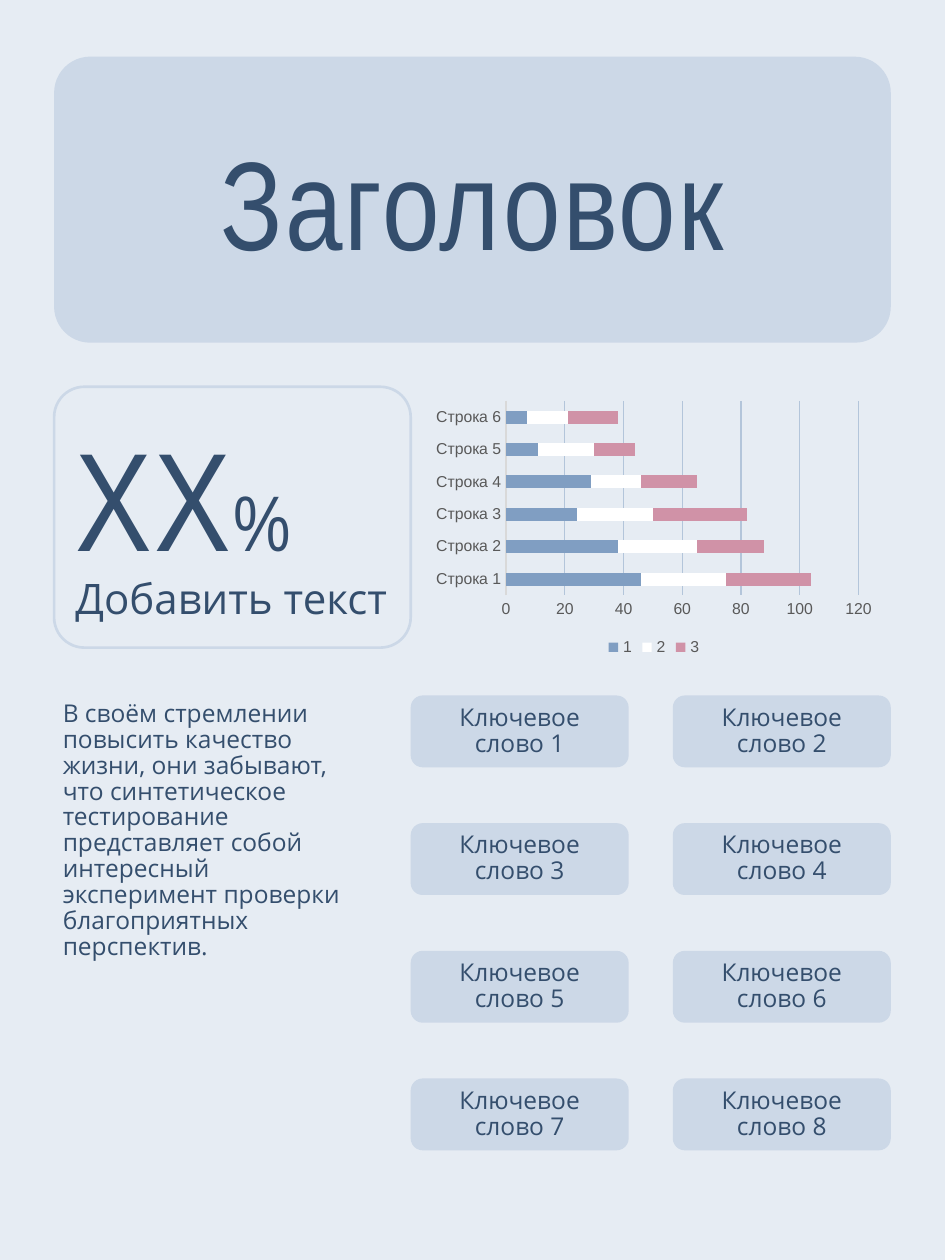
"""Build a portrait one-page summary with a headline, a key figure, a chart and keywords."""
import pptx
import pptx.chart.data
import pptx.dml.color
import pptx.enum.chart
import pptx.enum.shapes
import pptx.enum.text
import pptx.util
from pptx.util import Inches, Pt

THEME = {
    "background": pptx.dml.color.RGBColor.from_string("E6ECF3"),
    "panel": pptx.dml.color.RGBColor.from_string("CCD8E7"),
    "ink": pptx.dml.color.RGBColor.from_string("344E6D"),
    "label": pptx.dml.color.RGBColor.from_string("595959"),
    "axis": pptx.dml.color.RGBColor.from_string("D9D9D9"),
    "grid": pptx.dml.color.RGBColor.from_string("B3C5DA"),
    "series": [pptx.dml.color.RGBColor.from_string(c) for c in ("809EC2", "FFFFFF", "D092A7")],
    "display": "Arial Narrow",
    "text": "Open Sans",
    "chart": "Arial",
    "title_size": Pt(72),
    "figure_size": Pt(80),
    "percent_size": Pt(45),
    "caption_size": Pt(24),
    "body_size": Pt(14),
    "chart_size": Pt(9),
}
ALIGN = pptx.enum.text.PP_ALIGN
MIDDLE = pptx.enum.text.MSO_ANCHOR.MIDDLE
TOP = pptx.enum.text.MSO_ANCHOR.TOP


def add_panel(page, left, top, width, height, corner):
    box = page.shapes.add_shape(
        pptx.enum.shapes.MSO_SHAPE.ROUNDED_RECTANGLE,
        Inches(left), Inches(top), Inches(width), Inches(height))
    box.adjustments[0] = corner
    box.shadow.inherit = False
    box.fill.solid()
    box.fill.fore_color.rgb = THEME["panel"]
    box.line.fill.background()
    return box


def add_span(para, text, size, face, spacing=0):
    span = para.add_run()
    span.text = text
    for name, value in {"size": size, "name": face, "bold": False}.items():
        setattr(span.font, name, value)
    span.font.color.rgb = THEME["ink"]
    if spacing:
        span._r.get_or_add_rPr().set("spc", str(spacing))
    para.line_spacing = 0.88 if face == THEME["text"] else 1.0


deck = pptx.Presentation()
deck.slide_width, deck.slide_height = Inches(7.5), Inches(10)
page = deck.slides.add_slide(deck.slide_layouts[5])
page.background.fill.solid()
page.background.fill.fore_color.rgb = THEME["background"]

headline_panel = add_panel(page, 0.43, 0.45, 6.64, 2.27, 0.126)
title = page.shapes.title
title.element.addprevious(headline_panel.element)
for name in ("left", "top", "width", "height"):
    setattr(title, name, getattr(headline_panel, name))
for name, value in {"vertical_anchor": MIDDLE, "word_wrap": True,
                    "auto_size": pptx.enum.text.MSO_AUTO_SIZE.NONE}.items():
    setattr(title.text_frame, name, value)
para = title.text_frame.paragraphs[0]
para.alignment = ALIGN.CENTER
add_span(para, "Заголовок", THEME["title_size"], THEME["display"], 140)

figure_box = add_panel(page, 0.43, 3.07, 2.83, 2.07, 0.116)
figure_box.fill.background()
figure_box.line.color.rgb = THEME["panel"]
figure_box.line.width = Pt(1.5)
frame = figure_box.text_frame
for name, value in {"vertical_anchor": MIDDLE, "word_wrap": True, "margin_right": 0}.items():
    setattr(frame, name, value)
para = frame.paragraphs[0]
para.alignment = ALIGN.LEFT
add_span(para, "XX", THEME["figure_size"], THEME["display"], 140)
add_span(para, "%", THEME["percent_size"], THEME["display"], 140)
para = frame.add_paragraph()
para.alignment = ALIGN.LEFT
add_span(para, "Добавить текст", THEME["caption_size"], THEME["text"])

chart_data = pptx.chart.data.CategoryChartData()
chart_data.categories = [f"Строка {number}" for number in range(1, 7)]
for name, values in {"1": (46, 38, 24, 29, 11, 7),
                     "2": (29, 27, 26, 17, 19, 14),
                     "3": (29, 23, 32, 19, 14, 17)}.items():
    chart_data.add_series(name, values)
chart = page.shapes.add_chart(
    pptx.enum.chart.XL_CHART_TYPE.BAR_STACKED,
    Inches(3.39), Inches(3.14), Inches(3.6), Inches(2.11), chart_data).chart
chart.has_title = False
chart.has_legend = True
chart.legend.position = pptx.enum.chart.XL_LEGEND_POSITION.BOTTOM
chart.legend.include_in_layout = False
categories, values = chart.category_axis, chart.value_axis
for font in (chart.font, chart.legend.font, categories.tick_labels.font, values.tick_labels.font):
    font.name = THEME["chart"]
    font.size = THEME["chart_size"]
    font.color.rgb = THEME["label"]
for axis in (categories, values):
    axis.major_tick_mark = axis.minor_tick_mark = pptx.enum.chart.XL_TICK_MARK.NONE
for name, value in {"minimum_scale": 0, "maximum_scale": 120, "major_unit": 20,
                    "has_major_gridlines": True}.items():
    setattr(values, name, value)
values.format.line.fill.background()
for line, color in ((categories.format.line, "axis"), (values.major_gridlines.format.line, "grid")):
    line.color.rgb = THEME[color]
    line.width = Pt(0.75)
plot = chart.plots[0]
for name, value in {"gap_width": 150, "overlap": 100, "vary_by_categories": False}.items():
    setattr(plot, name, value)
for series, color in zip(plot.series, THEME["series"]):
    series.format.fill.solid()
    series.format.fill.fore_color.rgb = color
    series.invert_if_negative = False

body_box = page.shapes.add_textbox(Inches(0.4), Inches(5.52), Inches(2.6), Inches(3.6))
body_box.text_frame.word_wrap = True
body_box.text_frame.vertical_anchor = TOP
add_span(body_box.text_frame.paragraphs[0],
         "В своём стремлении повысить качество жизни, они забывают, что синтетическое "
         "тестирование представляет собой интересный эксперимент проверки благоприятных "
         "перспектив.", THEME["body_size"], THEME["text"])

for index in range(8):
    row, column = divmod(index, 2)
    keyword_box = add_panel(page, 3.26 + 2.08 * column, 5.52 + 3.04 / 3 * row, 1.73, 0.57, 0.167)
    keyword_box.text_frame.word_wrap = True
    keyword_box.text_frame.vertical_anchor = MIDDLE
    para = keyword_box.text_frame.paragraphs[0]
    para.alignment = ALIGN.CENTER
    add_span(para, f"Ключевое слово {index + 1}", THEME["body_size"], THEME["text"])

deck.save("out.pptx")
